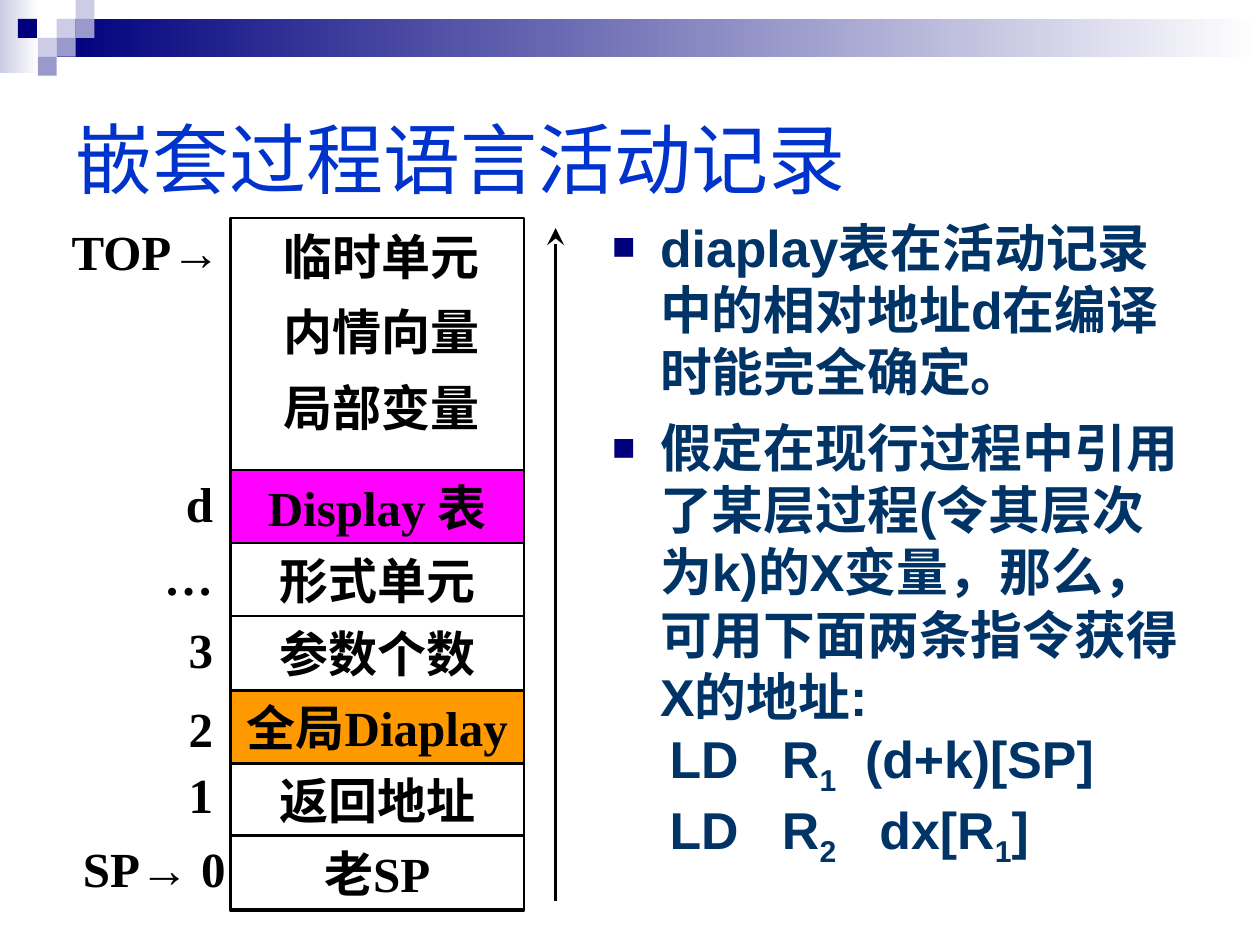
from lxml.etree import SubElement
from pptx import Presentation
from pptx.dml.color import RGBColor
from pptx.enum.shapes import MSO_CONNECTOR, MSO_SHAPE
from pptx.enum.text import MSO_ANCHOR, PP_ALIGN
from pptx.oxml.ns import qn
from pptx.util import Inches, Pt

BLACK = RGBColor(0x00, 0x00, 0x00)
WHITE = RGBColor(0xFF, 0xFF, 0xFF)
NAVY = RGBColor(0x00, 0x00, 0x7D)
LILAC = RGBColor(0xCC, 0xCC, 0xE6)
VIOLET = RGBColor(0x99, 0x99, 0xCC)
TITLE_BLUE = RGBColor(0x00, 0x33, 0xCC)
BODY_BLUE = RGBColor(0x00, 0x33, 0x66)
MAGENTA = RGBColor(0xFF, 0x00, 0xFF)
ORANGE = RGBColor(0xFF, 0x99, 0x00)
SANS, SERIF = "Arial", "Times New Roman"

# Content
TITLE = "嵌套过程语言活动记录"
BULLETS = [
    "diaplay表在活动记录中的相对地址d在编译时能完全确定。",
    "假定在现行过程中引用了某层过程(令其层次为k)的X变量，那么，可用下面两条指令获得X的地址:",
]
# Each instruction alternates normal text and subscripts
INSTRUCTIONS = [
    ["    LD   R", "1", "  (d+k)[SP]"],
    ["    LD   R", "2", "   dx[R", "1", "]"],
]
UPPER_CELLS = ["临时单元", "内情向量", "局部变量"]
# Cell text, fill, height, address label, label shift
RECORD = [
    ("Display 表", MAGENTA, 0.58, "d", 0),
    ("形式单元", None, 0.58, "…", 0),
    ("参数个数", None, 0.59, "3", 0),
    ("全局Diaplay", ORANGE, 0.58, "2", 0.04),
    ("返回地址", None, 0.57, "1", -0.02),
    ("老SP", None, 0.59, None, 0),
]
# Left, top and text parts of the stack pointers
POINTERS = [
    (0.47, 1.73, ["TOP", ("→", SANS)]),
    (0.56, 6.63, ["SP", ("→", SANS), " 0"]),
]
# Column, row and colour of the corner squares
SQUARES = [(3, 1, LILAC), (4, 0, LILAC), (4, 1, VIOLET), (2, 2, LILAC),
           (0.95, 1, NAVY), (3, 2, VIOLET), (2, 3, VIOLET)]

# Layout in inches
UNIT = 0.15
STACK_LEFT, STACK_TOP, STACK_WIDTH, STACK_HEIGHT = 1.83, 1.73, 2.33, 5.5
UPPER_STEP, ROWS_TOP = 0.6, 3.73
LABEL_LEFT, LABEL_WIDTH, LABEL_HEIGHT = 1.16, 0.63, 0.52
POINTER_WIDTH = 1.5
ARROW_X = 4.41

deck = Presentation()
deck.slide_width, deck.slide_height = Inches(10), Inches(7.5)
page = deck.slides.add_slide(deck.slide_layouts[6])


def add_rect(left, top, width, height, fill=None, fade=False, line=False):
    rect = page.shapes.add_shape(MSO_SHAPE.RECTANGLE, *map(Inches, (left, top, width, height)))
    rect.shadow.inherit = False
    if fade:
        rect.fill.gradient()
        rect.fill.gradient_angle = 0
        for stop, color in zip(rect.fill.gradient_stops, (fill, WHITE)):
            stop.color.rgb = color
    elif fill is not None:
        rect.fill.solid()
        rect.fill.fore_color.rgb = fill
    else:
        rect.fill.background()
    if line:
        rect.line.color.rgb = BLACK
        rect.line.width = Pt(1.5)
    else:
        rect.line.fill.background()
    return rect


def add_box(left, top, width, height):
    return page.shapes.add_textbox(*map(Inches, (left, top, width, height)))


def add_span(para, text, font=SERIF, size=28, color=BLACK, bold=True, subscript=False):
    span = para.add_run()
    span.text = text
    span.font.name, span.font.size, span.font.bold = font, Pt(size), bold
    span.font.color.rgb = color
    if subscript:
        span.font._element.set("baseline", "-25000")


def set_text(shape, *parts, align=PP_ALIGN.CENTER, wrap=False, **style):
    """Write one paragraph; each part is text or a (text, font) pair."""
    frame = shape.text_frame
    frame.word_wrap = wrap
    frame.vertical_anchor = MSO_ANCHOR.MIDDLE
    para = frame.paragraphs[0]
    para.alignment = align
    for part in parts:
        if isinstance(part, tuple):
            add_span(para, part[0], font=part[1])
        else:
            add_span(para, part, **style)


def hang(para, bullet=False):
    props = para._p.get_or_add_pPr()
    props.set("marL", str(Inches(0.38)))
    props.set("indent", str(Inches(-0.38)))
    props.set("hangingPunct", "0")
    if bullet:
        color = SubElement(props, qn("a:buClr"))
        SubElement(color, qn("a:srgbClr"), val=str(NAVY))
        SubElement(props, qn("a:buSzPct"), val="75000")
        SubElement(props, qn("a:buFont"), typeface=SANS)
        SubElement(props, qn("a:buChar"), char="■")
    else:
        SubElement(props, qn("a:buNone"))


# Header band and corner squares
add_rect(0, 0, 0.31, 0.58, LILAC, fade=True)
add_rect(3 * UNIT, UNIT, 10 - 3 * UNIT, 2 * UNIT, NAVY, fade=True)
for column, row, color in SQUARES:
    add_rect(column * UNIT, row * UNIT, UNIT, UNIT, color)

# Title
set_text(add_box(0.5, 0.5, 9, 1.5), TITLE, align=PP_ALIGN.LEFT, wrap=True,
         font=SANS, size=44, color=TITLE_BLUE, bold=False)

# Explanation with the two instructions
body = add_box(4.76, 1.66, 4.75, 5.72).text_frame
body.word_wrap = True
lines = [[text] for text in BULLETS] + INSTRUCTIONS
for index, parts in enumerate(lines):
    para = body.add_paragraph() if index else body.paragraphs[0]
    is_bullet = index < len(BULLETS)
    if is_bullet and index:
        para.space_before = Pt(8)
    hang(para, bullet=is_bullet)
    for place, text in enumerate(parts):
        add_span(para, text, font=SANS, size=29.6, color=BODY_BLUE, subscript=place % 2 == 1)

# Activation record: frame, upper cells, then the addressed rows
add_rect(STACK_LEFT, STACK_TOP, STACK_WIDTH, STACK_HEIGHT, line=True)
for index, text in enumerate(UPPER_CELLS):
    set_text(add_box(STACK_LEFT, STACK_TOP + index * UPPER_STEP, 2.39, UPPER_STEP), text)

top = ROWS_TOP
for text, fill, height, label, shift in RECORD:
    set_text(add_rect(STACK_LEFT, top, STACK_WIDTH, height, fill, line=True), text)
    if label:
        set_text(add_box(LABEL_LEFT, top + shift, LABEL_WIDTH, LABEL_HEIGHT), label,
                 align=PP_ALIGN.RIGHT)
    top += height

# Stack pointers
for left, top, parts in POINTERS:
    set_text(add_box(left, top, POINTER_WIDTH, LABEL_HEIGHT), *parts, align=PP_ALIGN.LEFT)

# Growth direction
arrow = page.shapes.add_connector(MSO_CONNECTOR.STRAIGHT, Inches(ARROW_X), Inches(7.15),
                                  Inches(ARROW_X), Inches(1.81))
arrow.line.color.rgb = BLACK
arrow.line.width = Pt(1.5)
SubElement(arrow.line._get_or_add_ln(), qn("a:tailEnd"), type="stealth", w="lg", len="lg")
SubElement(arrow._element.spPr, qn("a:effectLst"))

deck.save("out.pptx")
